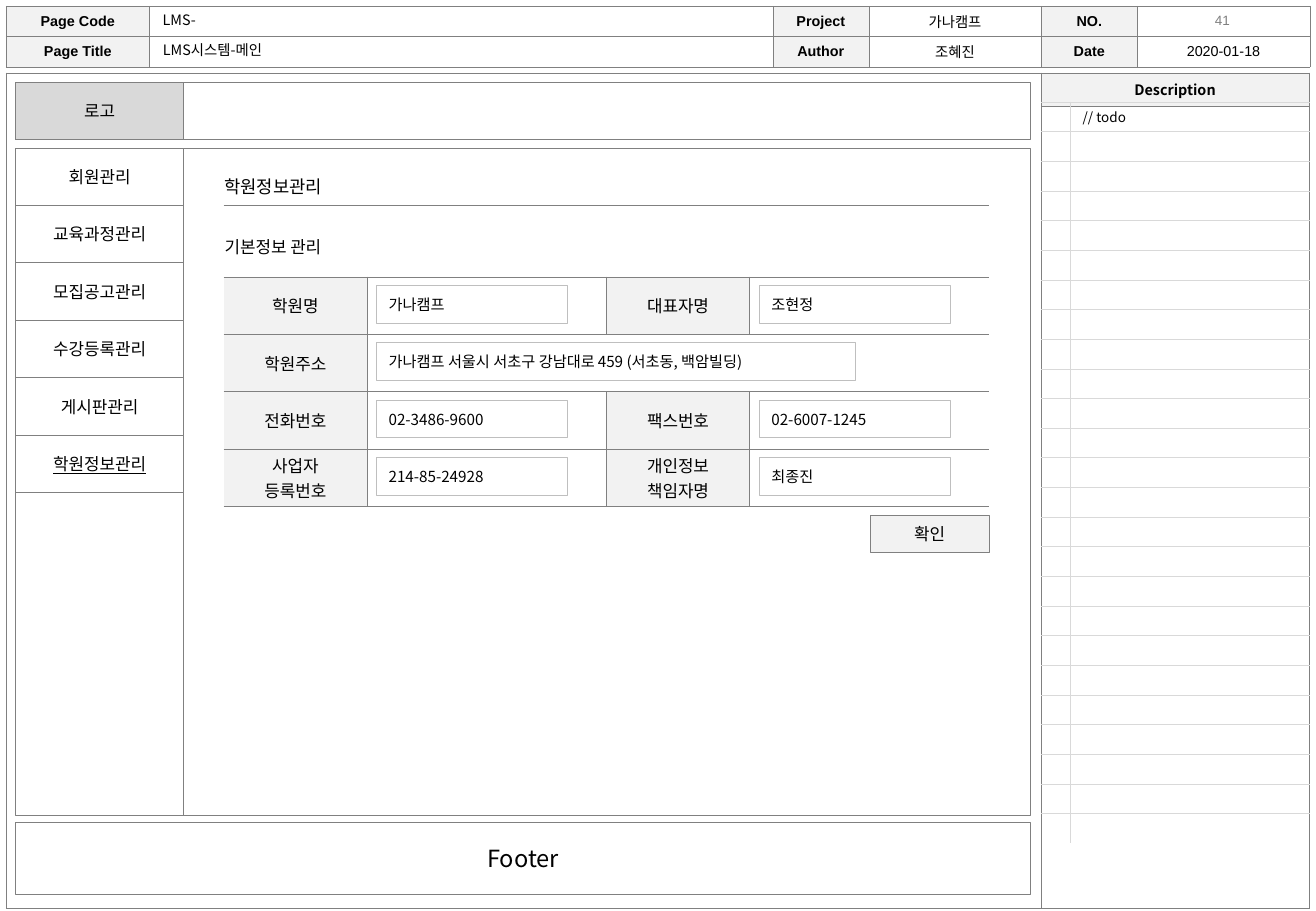
import dataclasses
import typing

import lxml.etree
import pptx
import pptx.dml.color
import pptx.enum.shapes
import pptx.enum.text
import pptx.oxml.ns
import pptx.util

Inches = pptx.util.Inches
Pt = pptx.util.Pt
RGB = pptx.dml.color.RGBColor.from_string
qn = pptx.oxml.ns.qn
ALIGN = pptx.enum.text.PP_ALIGN
ANCHOR = pptx.enum.text.MSO_ANCHOR


@dataclasses.dataclass(frozen=True)
class Theme:
    ink: str = "000000"
    paper: str = "FFFFFF"
    label: str = "F2F2F2"
    logo: str = "D9D9D9"
    rule: str = "808080"
    faint: str = "D9D9D9"
    field: str = "BFBFBF"
    muted: str = "7F7F7F"
    sans: str = "Arial"
    korean: str = "Noto Sans CJK KR"
    note: float = 8
    head: float = 8.5
    entry: float = 9
    body: float = 10
    heading: float = 10.5
    footer: float = 14


T = Theme()


@dataclasses.dataclass(frozen=True)
class Style:
    size: float = T.body
    font: str = T.korean
    color: str = T.ink
    bold: bool = False
    underline: bool = False
    align: typing.Any = ALIGN.CENTER
    anchor: typing.Any = ANCHOR.MIDDLE


@dataclasses.dataclass(frozen=True)
class Box:
    x: float
    y: float
    w: float
    h: float
    text: str = ""
    style: Style = Style()
    fill: str = T.paper
    line: str = T.rule
    weight: float = 0.5


@dataclasses.dataclass(frozen=True)
class Cell:
    text: str = ""
    style: Style = Style()
    fill: str = ""
    sides: str = "LRTB"


@dataclasses.dataclass(frozen=True)
class Grid:
    x: float
    y: float
    cols: typing.Sequence[float]
    rows: typing.Sequence[float]
    cells: typing.Sequence[typing.Sequence[Cell]]
    line: str = T.rule
    weight: float = 0.5
    pad_x: float = 0.1
    pad_y: float = 0.03


def assign(obj: typing.Any, values: dict) -> None:
    for name, value in values.items():
        setattr(obj, name, value)


def write(tf: typing.Any, text: str, st: Style) -> None:
    for i, words in enumerate(text.split("\n")):
        p = tf.paragraphs[0] if i == 0 else tf.add_paragraph()
        p.alignment = st.align
        if not words:
            lxml.etree.SubElement(p._p, qn("a:endParaRPr"), sz=str(int(st.size * 100)))
            continue
        r = p.add_run()
        r.text = words
        assign(r.font, {"size": Pt(st.size), "name": st.font, "bold": st.bold, "underline": st.underline})
        r.font.color.rgb = RGB(st.color)
        lxml.etree.SubElement(r._r.rPr, qn("a:ea"), typeface=T.korean)


def fill_frame(sp: typing.Any, text: str, st: Style) -> None:
    assign(sp.text_frame, {"word_wrap": True, "vertical_anchor": st.anchor})
    write(sp.text_frame, text, st)


def draw_box(s: typing.Any, b: Box) -> None:
    sp = s.shapes.add_shape(pptx.enum.shapes.MSO_SHAPE.RECTANGLE,
                            Inches(b.x), Inches(b.y), Inches(b.w), Inches(b.h))
    sp.shadow.inherit = False
    sp.fill.solid()
    sp.fill.fore_color.rgb = RGB(b.fill)
    sp.line.color.rgb = RGB(b.line)
    sp.line.width = Pt(b.weight)
    if b.text:
        fill_frame(sp, b.text, b.style)


def draw_text(s: typing.Any, x: float, y: float, w: float, h: float, text: str, st: Style) -> None:
    fill_frame(s.shapes.add_textbox(Inches(x), Inches(y), Inches(w), Inches(h)), text, st)


def draw_borders(cell: typing.Any, c: Cell, g: Grid) -> None:
    tc_pr = cell._tc.get_or_add_tcPr()
    for i, side in enumerate("LRTB"):
        ln = lxml.etree.Element(qn("a:ln" + side), w=str(Pt(g.weight)))
        if side in c.sides:
            fill = lxml.etree.SubElement(ln, qn("a:solidFill"))
            lxml.etree.SubElement(fill, qn("a:srgbClr"), val=g.line)
        else:
            lxml.etree.SubElement(ln, qn("a:noFill"))
        tc_pr.insert(i, ln)


def draw_grid(s: typing.Any, g: Grid) -> typing.Any:
    tbl = s.shapes.add_table(len(g.rows), len(g.cols), Inches(g.x), Inches(g.y),
                             Inches(sum(g.cols)), Inches(sum(g.rows))).table
    assign(tbl, {"first_row": False, "horz_banding": False})
    for col, w in zip(tbl.columns, g.cols):
        col.width = Inches(w)
    for row, h, cells in zip(tbl.rows, g.rows, g.cells):
        row.height = Inches(h)
        for cell, c in zip(row.cells, cells):
            assign(cell, {"margin_left": Inches(g.pad_x), "margin_right": Inches(g.pad_x),
                          "margin_top": Inches(g.pad_y), "margin_bottom": Inches(g.pad_y),
                          "vertical_anchor": c.style.anchor})
            if c.fill:
                cell.fill.solid()
                cell.fill.fore_color.rgb = RGB(c.fill)
            else:
                cell.fill.background()
            write(cell.text_frame, c.text, c.style)
            draw_borders(cell, c, g)
    return tbl


prs = pptx.Presentation()
assign(prs, {"slide_width": Inches(10.83), "slide_height": Inches(7.5)})
s = prs.slides.add_slide(prs.slide_layouts[5])

PAGE = Style(T.head, align=ALIGN.LEFT, anchor=ANCHOR.TOP)
HEAD = Style(T.head, T.sans, bold=True)
VALUE = dataclasses.replace(HEAD, bold=False)
ENTRY = Style(T.entry, align=ALIGN.LEFT)
NOTE = Style(T.note, align=ALIGN.LEFT)
HEADING = Style(T.heading, align=ALIGN.LEFT, anchor=ANCHOR.TOP)
ROW = 1.89 / 4

title = s.shapes.title
assign(title, {"left": Inches(1.24), "top": Inches(0.29), "width": Inches(5.12), "height": Inches(0.24)})
fill_frame(title, "LMS시스템-메인", PAGE)

title_desc = Style(T.head, bold=True, anchor=ANCHOR.TOP)
draw_grid(s, Grid(0.05, 0.6, (8.52, 2.2), (0.27, 6.61), (
    (Cell(sides="LRT"), Cell("Description", title_desc, T.label)),
    (Cell(sides="LRB"), Cell())), weight=0.25, pad_y=0.05))

header_rows = (("Page Code", "", "Project", "가나캠프", "NO.", ""),
               ("Page Title", "", "Author", "조혜진", "Date", "2020-01-18"))
draw_grid(s, Grid(0.05, 0.05, (1.18, 5.13, 0.79, 1.42, 0.79, 1.42), (0.24,) * 2,
                  [[Cell(t, VALUE if i % 2 else HEAD, "" if i % 2 else T.label)
                    for i, t in enumerate(row)] for row in header_rows],
                  weight=0.25, pad_x=0.04, pad_y=0.04))
draw_text(s, 9.35, 0.05, 1.42, 0.24, "41", Style(T.note, T.sans, T.muted, anchor=ANCHOR.TOP))
draw_text(s, 1.24, 0.04, 5.12, 0.24, "LMS-", PAGE)

todo_count = 25
todo_cells = []
for i in range(todo_count):
    below = "B" if i < todo_count - 1 else ""
    todo_cells.append((Cell(style=NOTE, sides="RT" + below),
                       Cell("" if i else "// todo", NOTE, sides="LT" + below)))
draw_grid(s, Grid(8.57, 0.84, (0.24, 1.97), (6.11 / todo_count,) * todo_count,
                  todo_cells, T.faint))

menu = ("회원관리", "교육과정관리", "모집공고관리", "수강등록관리", "게시판관리", "학원정보관리")
for box in (Box(1.51, 1.22, 6.97, 5.49),
            Box(0.13, 6.77, 8.35, 0.59, "Footer", Style(T.footer)),
            Box(0.13, 0.68, 8.35, 0.47),
            Box(0.13, 0.68, 1.38, 0.47, "로고", fill=T.logo, weight=0.75),
            Box(0.13, 1.22, 1.38, 5.49)):
    draw_box(s, box)
for i, item in enumerate(menu):
    draw_box(s, Box(0.13, 1.22 + i * ROW, 1.38, ROW, item, Style(underline=item == menu[-1])))

draw_text(s, 1.75, 1.4, 1.09, 0.28, "학원정보관리", HEADING)
draw_text(s, 1.75, 1.9, 1.09, 0.27, "기본정보 관리", dataclasses.replace(HEADING, size=T.body))
rule = s.shapes.add_connector(pptx.enum.shapes.MSO_CONNECTOR.STRAIGHT,
                              Inches(1.84), Inches(1.69), Inches(8.14), Inches(1.69))
rule.line.color.rgb = RGB(T.rule)
rule.line.width = Pt(0.5)
lxml.etree.SubElement(rule._element.spPr, qn("a:effectLst"))

form_x, form_y, label_w, value_w = 1.84, 2.28, 1.18, 1.97
form = (("학원명", "가나캠프", "대표자명", "조현정"),
        ("학원주소", "가나캠프 서울시 서초구 강남대로 459 (서초동, 백암빌딩)", "", ""),
        ("전화번호", "02-3486-9600", "팩스번호", "02-6007-1245"),
        ("사업자\n등록번호", "214-85-24928", "개인정보\n책임자명", "최종진"))
form_cells = []
for first, _, second, _ in form:
    form_cells.append((Cell(first, fill=T.label, sides="RTB"),
                       Cell(sides="LRTB" if second else "LTB"),
                       Cell(second, fill=T.label if second else "", sides="LRTB" if second else "TB"),
                       Cell(sides="LTB" if second else "TB")))
form_tbl = draw_grid(s, Grid(form_x, form_y, (label_w, value_w) * 2, (ROW,) * len(form), form_cells))
form_tbl.cell(1, 1).merge(form_tbl.cell(1, 3))

for i, (_, left, second, right) in enumerate(form):
    for side, entry in enumerate((left, right)):
        if entry:
            draw_box(s, Box(form_x + label_w + 0.08 + side * (label_w + value_w),
                            form_y + i * ROW + 0.07, 1.57 if second else 3.94, 0.31,
                            entry, ENTRY, line=T.field))
draw_box(s, Box(7.16, 4.24, 0.98, 0.31, "확인", fill=T.label))

prs.save("out.pptx")
